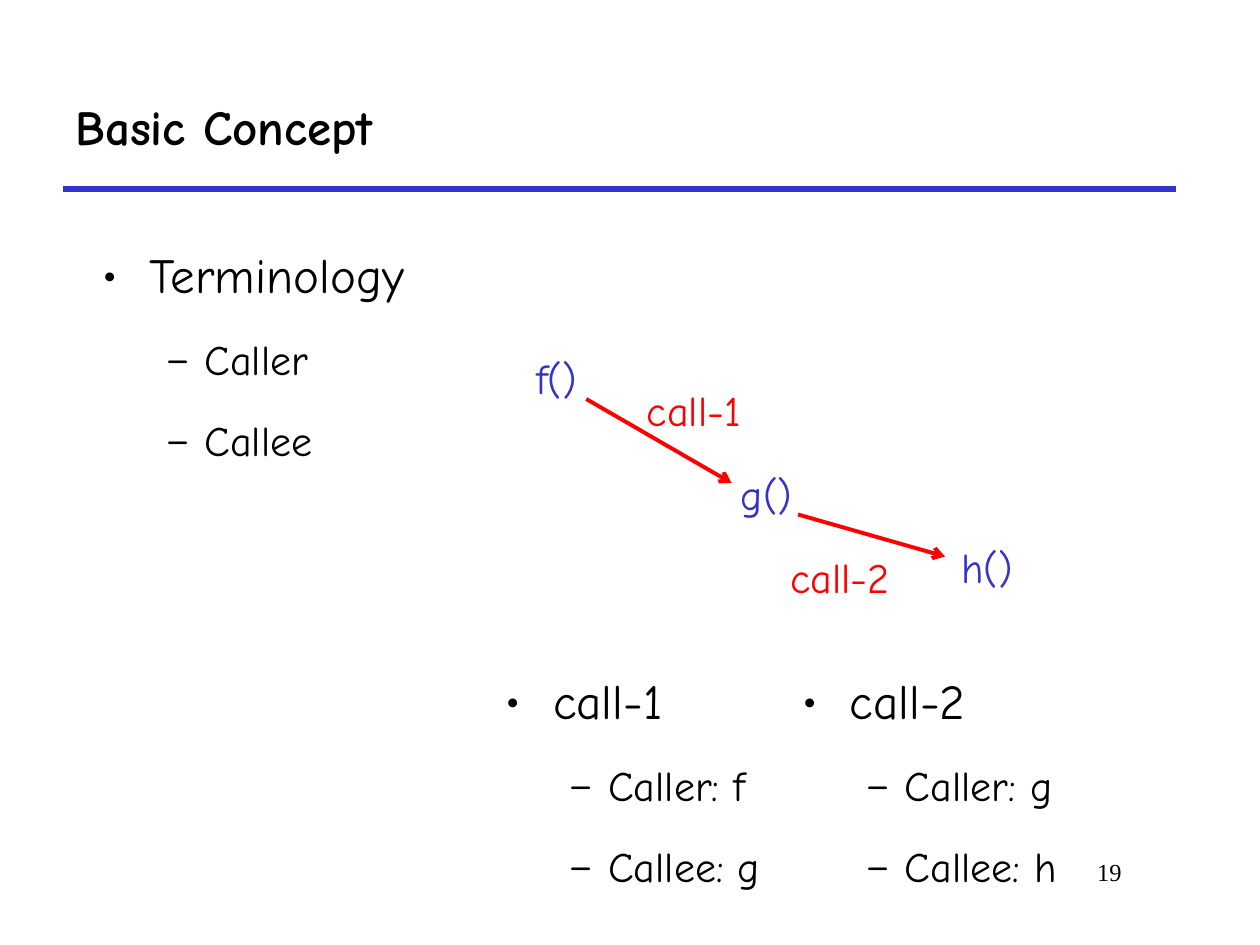
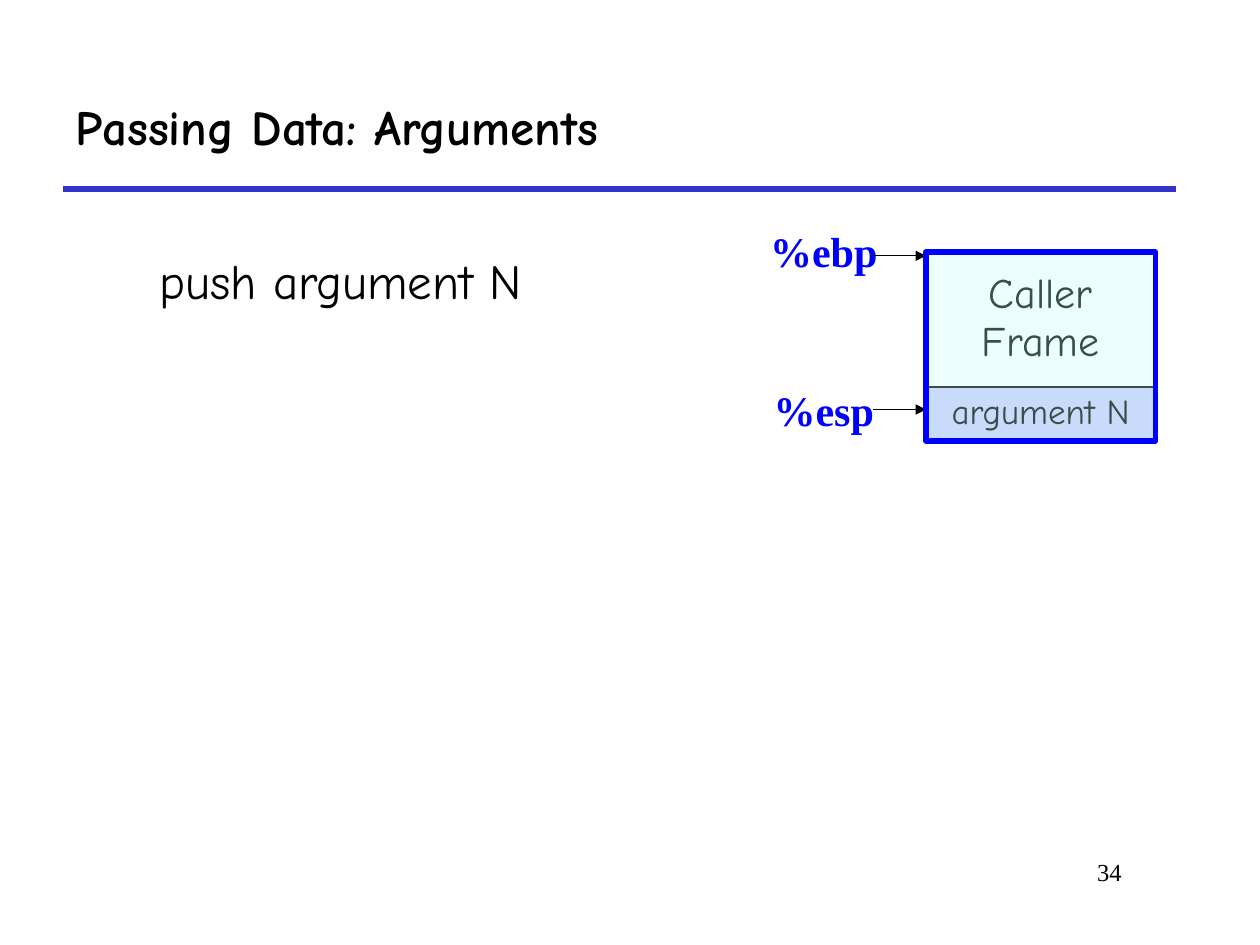
"""Build two slides on procedure calls: caller/callee terms and argument passing."""
from lxml.etree import SubElement
from pptx import Presentation
from pptx.dml.color import RGBColor
from pptx.enum.shapes import MSO_CONNECTOR, MSO_SHAPE
from pptx.enum.text import MSO_ANCHOR, PP_ALIGN
from pptx.oxml.ns import qn
from pptx.util import Pt

COMIC, TIMES = "Comic Neue", "Times New Roman"
BLACK, INDIGO, BLUE, RED = "000000", "3333CC", "0000FF", "FF0000"
LILAC, MINT = "CCCCFF", "C2FFF0"
LEFT, CENTER, RIGHT = PP_ALIGN.LEFT, PP_ALIGN.CENTER, PP_ALIGN.RIGHT

TITLE_BOX = (36, 36, 636, 72)
RULE = (36, 108, 672, 108)
NUMBER_BOX = (546, 486, 102, 36)

LISTS = [
    ((51.3, 122.6, 642, 366), "Terminology", ["Caller", "Callee"]),
    ((282, 366, 197, 144), "call-1", ["Caller: f", "Callee: g"]),
    ((451.5, 366, 197, 144), "call-2", ["Caller: g", "Callee: h"]),
]
FUNCTIONS = [("f()", 294, 198), ("g()", 414, 264), ("h()", 540, 306)]
CALLS = [
    ("call-1", (342.5, 216), (335, 228, 418, 276)),
    ("call-2", (426, 311.8), (456, 294, 540, 318)),
]

FRAME = (529.2, 144, 131, 108)
ARGUMENT_HEIGHT = 31
REGISTERS = [("%ebp", 433, 125.5, 146.2), ("%esp", 435, 216, 234)]
REGISTER_SIZE = (82, 36)
POINTER_START = 499


def rgb(color):
    """Turn a hex string into a colour."""
    return RGBColor.from_string(color)


def add_run(p, text, size, color=BLACK, font=COMIC, bold=False):
    """Add one formatted run to a paragraph."""
    r = p.add_run()
    r.text = text
    r.font.size, r.font.name, r.font.bold = Pt(size), font, bold
    r.font.color.rgb = rgb(color)


def add_box(s, box, anchor=MSO_ANCHOR.TOP):
    """Add an empty text box and return its text frame."""
    tf = s.shapes.add_textbox(*map(Pt, box)).text_frame
    tf.word_wrap, tf.vertical_anchor = True, anchor
    return tf


def add_label(s, box, text, size, align=LEFT, anchor=MSO_ANCHOR.TOP, **style):
    """Add a text box of one line and return its paragraph."""
    p = add_box(s, box, anchor).paragraphs[0]
    p.alignment = align
    add_run(p, text, size, **style)
    return p


def add_list(s, box, head, items):
    """Add a bulleted heading with dashed items below it."""
    tf = add_box(s, box)
    rows = [(head, "•", 28, 27, 27)] + [(t, "–", 24, 58.5, 22.5) for t in items]
    for i, (text, mark, size, margin, hang) in enumerate(rows):
        p = tf.add_paragraph() if i else tf.paragraphs[0]
        pPr = p._p.get_or_add_pPr()
        pPr.set("marL", str(Pt(margin)))
        pPr.set("indent", str(-Pt(hang)))
        SubElement(pPr, qn("a:buFont"), typeface=COMIC)
        SubElement(pPr, qn("a:buChar"), char=mark)
        p.line_spacing = 1.4
        if i:
            p.level = 1
            p.space_before = Pt(6)
        add_run(p, text, size)


def add_line(s, points, color, width, head=None):
    """Add a straight line, with an arrowhead at its end if one is named."""
    c = s.shapes.add_connector(MSO_CONNECTOR.STRAIGHT, *map(Pt, points))
    c.line.color.rgb, c.line.width = rgb(color), Pt(width)
    if head:
        SubElement(c.line._get_or_add_ln(), qn("a:tailEnd"), type=head)
    SubElement(c._element.spPr, qn("a:effectLst"))


def add_cell(s, box, lines, size, top, fill=None):
    """Add a bordered one-cell table with centred lines."""
    table = s.shapes.add_table(1, 1, *map(Pt, box)).table
    table.first_row = table.horz_banding = False
    cell = table.cell(0, 0)
    cell.margin_top = Pt(top)
    tcPr = cell._tc.get_or_add_tcPr()
    for side in ("lnL", "lnR", "lnT", "lnB"):
        ln = SubElement(tcPr, qn("a:" + side), w=str(Pt(1.08)))
        SubElement(SubElement(ln, qn("a:solidFill")), qn("a:srgbClr"), val=BLACK)
    if fill:
        cell.fill.solid()
        cell.fill.fore_color.rgb = rgb(fill)
    else:
        cell.fill.background()
    p = cell.text_frame.paragraphs[0]
    p.alignment = CENTER
    for i, line in enumerate(lines):
        if i:
            p.add_line_break()
        add_run(p, line, size)


def add_frame_outline(s):
    """Lay a translucent outlined rectangle over the stack frame."""
    sp = s.shapes.add_shape(MSO_SHAPE.RECTANGLE, *map(Pt, FRAME))
    sp.shadow.inherit = False
    sp.fill.solid()
    sp.fill.fore_color.rgb = rgb(MINT)
    color = sp._element.spPr.find(qn("a:solidFill")).find(qn("a:srgbClr"))
    SubElement(color, qn("a:alpha"), val="30000")
    sp.line.color.rgb, sp.line.width = rgb(BLUE), Pt(3)


def add_slide(prs, title, number):
    """Add a slide with the shared rule, title and page number."""
    s = prs.slides.add_slide(prs.slide_layouts[6])
    add_line(s, RULE, INDIGO, 3)
    add_label(s, NUMBER_BOX, number, 14, RIGHT, font=TIMES)
    add_label(s, TITLE_BOX, title, 28, anchor=MSO_ANCHOR.MIDDLE, bold=True)
    return s


def build_concept(prs):
    """Build the slide on callers and callees."""
    s = add_slide(prs, "Basic Concept", "19")
    for box, head, items in LISTS:
        add_list(s, box, head, items)
    for name, x, y in FUNCTIONS:
        add_label(s, (x, y, 48, 36), name, 24, CENTER, color=INDIGO)
    for name, (x, y), points in CALLS:
        add_line(s, points, RED, 2.25, "arrow")
        add_label(s, (x, y, 108, 36), name, 24, CENTER, color=RED)


def build_arguments(prs):
    """Build the slide on pushing an argument."""
    s = add_slide(prs, "Passing Data: Arguments", "34")
    x, y, w, h = FRAME
    argument = (x, y + h - ARGUMENT_HEIGHT, w, ARGUMENT_HEIGHT)
    add_cell(s, argument, ["argument N"], 20, 3.6, LILAC)
    p = add_label(s, (84, 126, 612, 348), "push argument N", 28)
    p.line_spacing = 1.4
    for name, left, top, level in REGISTERS:
        add_label(s, (left, top, *REGISTER_SIZE), name, 24,
                  color=BLUE, font=TIMES, bold=True)
        add_line(s, (POINTER_START, level, x, level), BLACK, 0.75, "triangle")
    add_cell(s, FRAME, ["Caller", "Frame"], 24, 10.5)
    add_frame_outline(s)


def main():
    """Build and save the deck."""
    prs = Presentation()
    prs.slide_width, prs.slide_height = Pt(720), Pt(540)
    build_concept(prs)
    build_arguments(prs)
    prs.save("out.pptx")


if __name__ == "__main__":
    main()
